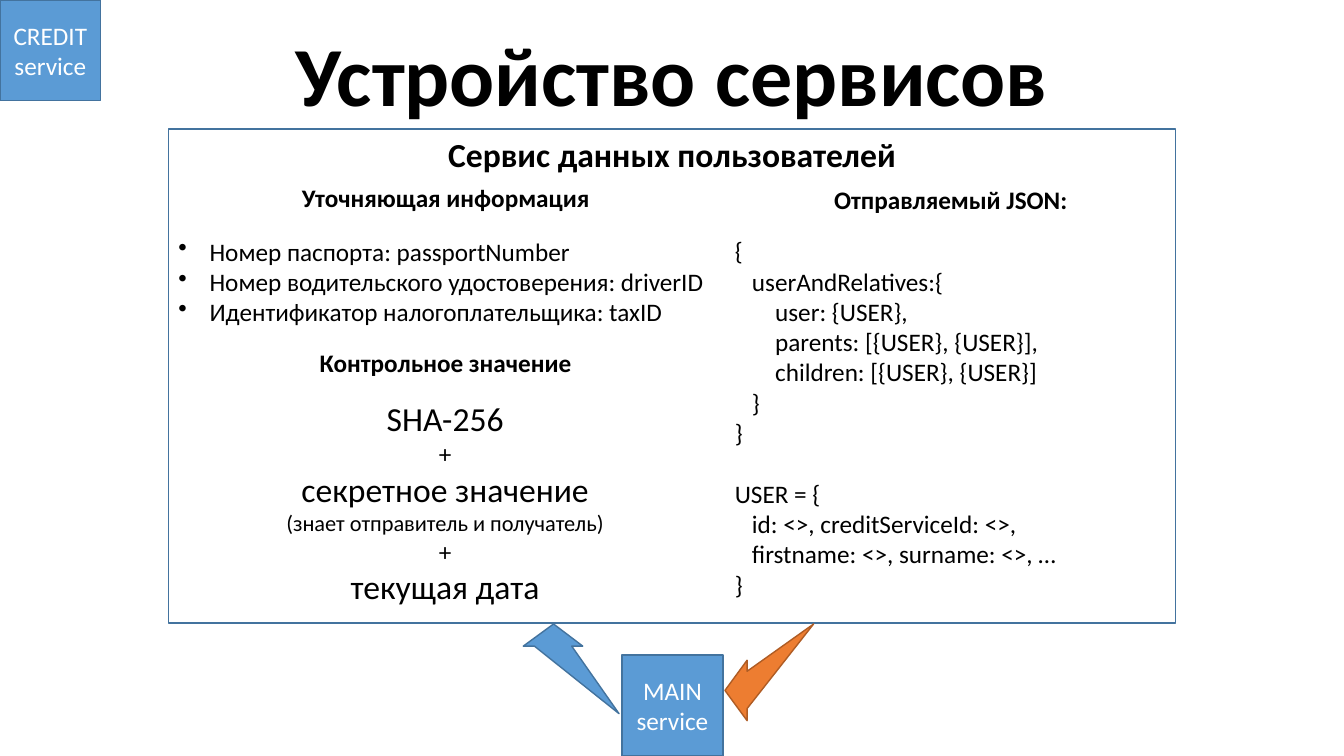
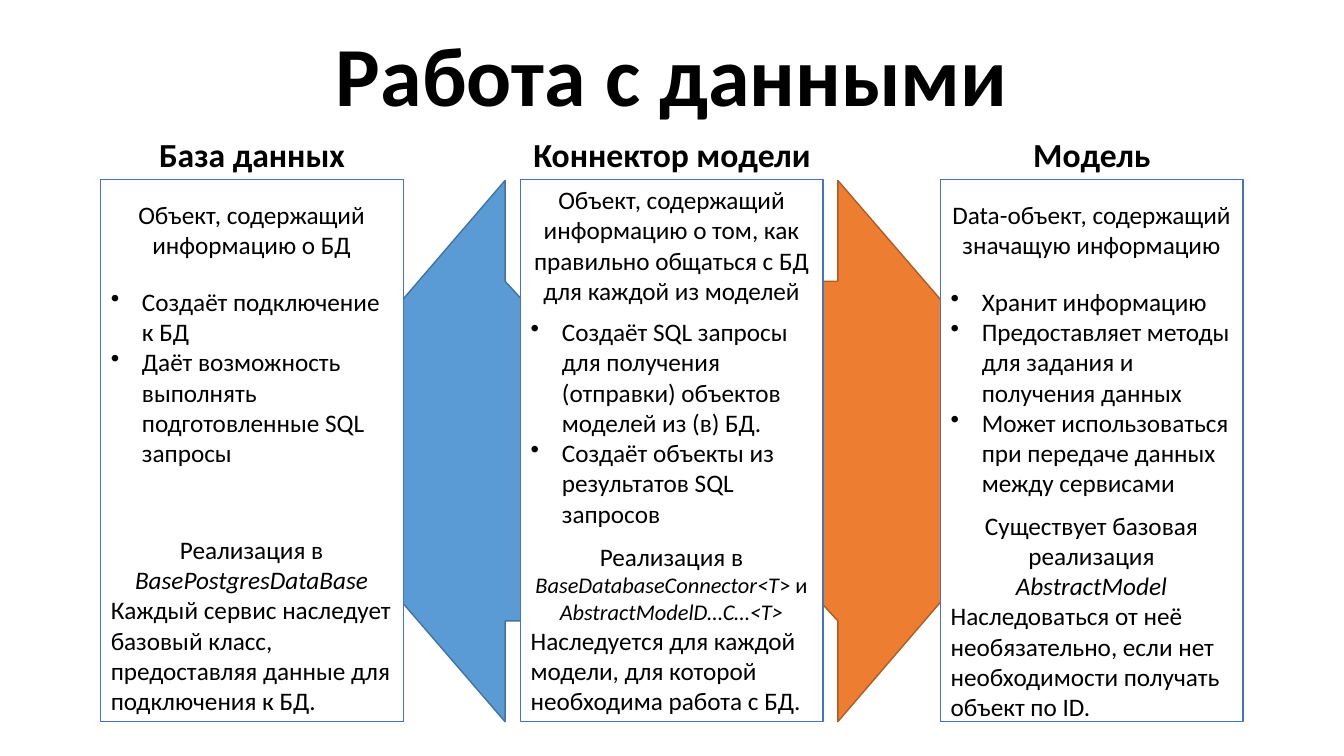
from dataclasses import dataclass

from lxml.etree import SubElement
from pptx import Presentation
from pptx.dml.color import RGBColor
from pptx.enum.shapes import MSO_SHAPE as Shape
from pptx.enum.text import MSO_ANCHOR as Anchor, PP_ALIGN as Align
from pptx.oxml.ns import qn
from pptx.util import Inches, Pt

BLACK, WHITE = "000000", "FFFFFF"
BLUE, BLUE_EDGE, FRAME_EDGE = "5B9BD5", "43739E", "4472C4"
ORANGE, ORANGE_EDGE = "ED7D31", "AF5C24"


def rgb(code):
    return RGBColor.from_string(code)


@dataclass
class Para:
    """One paragraph; content is a string or a list of (text, size, italic)."""
    content: object
    size: float = 18
    align: object = Align.LEFT
    bold: bool = False
    bullet: bool = False
    indent: float = 0
    before: float = 0


def centred(content, size=18, bold=False):
    return Para(content, size, Align.CENTER, bold)


def bullets(*items):
    return [Para(item, bullet=True) for item in items]


class Deck:
    font = "Calibri"

    def __init__(self):
        self.prs = Presentation()
        self.prs.slide_width, self.prs.slide_height = Inches(13.33), Inches(7.5)
        self.slide = None

    def new_slide(self):
        self.slide = self.prs.slides.add_slide(self.prs.slide_layouts[6])

    def title(self, text):
        self.text(1, 0.17, 11.33, 1.11, [centred(text, 60, True)], anchor=Anchor.MIDDLE)

    def heading(self, middle, top, width, text, size=18):
        height = 0.5 if size > 18 else 0.4
        self.text(middle - width / 2, top, width, height, [centred(text, size, True)], wrap=False)

    def text(self, left, top, width, height, paras, anchor=Anchor.TOP, wrap=True):
        box = self.slide.shapes.add_textbox(Inches(left), Inches(top), Inches(width), Inches(height))
        box.text_frame.word_wrap = wrap
        box.text_frame.vertical_anchor = anchor
        self.fill_frame(box.text_frame, paras, BLACK)

    def box(self, left, top, width, height, fill, edge, paras=()):
        shape = self.slide.shapes.add_shape(
            Shape.RECTANGLE, Inches(left), Inches(top), Inches(width), Inches(height))
        self.paint(shape, fill, edge)
        shape.text_frame.vertical_anchor = Anchor.MIDDLE
        self.fill_frame(shape.text_frame, paras, WHITE)

    def outline(self, points, fill, edge):
        start, *rest = [(Inches(x), Inches(y)) for x, y in points]
        builder = self.slide.shapes.build_freeform(*start, scale=1.0)
        builder.add_line_segments(rest, close=True)
        self.paint(builder.convert_to_shape(), fill, edge)

    def paint(self, shape, fill, edge):
        shape.shadow.inherit = False
        shape.fill.solid()
        shape.fill.fore_color.rgb = rgb(fill)
        shape.line.color.rgb = rgb(edge)
        shape.line.width = Pt(1)

    def fill_frame(self, frame, paras, color):
        for index, para in enumerate(paras):
            line = frame.add_paragraph() if index else frame.paragraphs[0]
            line.alignment = para.align
            line.font.name, line.font.size = self.font, Pt(para.size)
            line.font.bold = para.bold
            line.font.color.rgb = rgb(color)
            if para.before:
                line.space_before = Pt(para.before)
            self.indent(line, para)
            if isinstance(para.content, str):
                line.add_run().text = para.content
                continue
            for text, size, italic in para.content:
                run = line.add_run()
                run.text = text
                run.font.size, run.font.italic = Pt(size), italic

    def indent(self, line, para):
        props = line._p.get_or_add_pPr()
        if para.bullet:
            props.set("marL", str(Inches(0.31)))
            props.set("indent", str(Inches(-0.31)))
            mark = SubElement(props, qn("a:buChar"))
            mark.set("char", "•")
            props.insert(0, mark)  # bullets come before the default run style
        elif para.indent:
            props.set("marL", str(Inches(para.indent)))
            props.set("indent", "0")


deck = Deck()

# Slide 1: the user data service and its neighbours
deck.new_slide()
deck.box(1.67, 1.28, 9.99, 4.9, WHITE, BLUE_EDGE)
deck.title("Устройство сервисов")
deck.heading(6.665, 1.28, 4.69, "Сервис данных пользователей", 24)

# Arrows between the main service and the frame
deck.outline([(5.49, 6.19), (5.19, 6.41), (5.3, 6.41), (6.14, 7.08), (5.67, 6.41), (5.78, 6.41)],
             BLUE, BLUE_EDGE)
deck.outline([(7.19, 6.85), (7.41, 7.15), (7.41, 7.03), (8.07, 6.19), (7.41, 6.66), (7.41, 6.55)],
             ORANGE, ORANGE_EDGE)
for left, top, service in [(6.17, 6.5, "MAIN"), (0, 0, "CREDIT")]:
    deck.box(left, top, 1, 1, BLUE, BLUE_EDGE, [centred(service), centred("service")])

# Left half: identifying data and check value
deck.heading(4.42, 1.76, 3.09, "Уточняющая информация")
deck.text(1.67, 2.29, 5.49, 1.01, bullets(
    "Номер паспорта: passportNumber",
    "Номер водительского удостоверения: driverID",
    "Идентификатор налогоплательщика: taxID"))
deck.heading(4.42, 3.4, 2.72, "Контрольное значение")
check_value = [("SHA-256", 24), ("+", 18), ("секретное значение", 24),
               ("(знает отправитель и получатель)", 16), ("+", 18), ("текущая дата", 24)]
deck.text(1.67, 3.9, 5.49, 2.22, [centred(part, size) for part, size in check_value])

# Right half: the JSON, with nesting as indents
deck.heading(9.43, 1.78, 2.54, "Отправляемый JSON:")
NESTING = [0, 0.17, 0.4]
json_lines = [(0, "{"), (1, "userAndRelatives:{"), (2, "user: {USER},"),
              (2, "parents: [{USER}, {USER}],"), (2, "children: [{USER}, {USER}]"),
              (1, "}"), (0, "}"), (0, "USER = {"), (1, "id: <>, creditServiceId: <>,"),
              (1, "firstname: <>, surname: <>, …"), (0, "}")]
deck.text(7.19, 2.29, 4.47, 3.74, [
    Para(code, indent=NESTING[level], before=22 if code.startswith("USER") else 0)
    for level, code in json_lines])

# Slide 2: database, connector and model
deck.new_slide()
to_database = [(2.7, 4.48), (5.01, 1.79), (5.01, 2.79), (8.1, 6.16), (5.01, 6.16), (5.01, 7.16)]
to_model = [(13.32 - x, 8.95 - y) for x, y in to_database]  # half a turn
deck.outline(to_database, BLUE, BLUE_EDGE)
deck.outline(to_model, ORANGE, ORANGE_EDGE)
deck.title("Работа с данными")

# Per column: heading and its width, then (top, height, paragraphs) of each text
columns = [
    ("База данных", 2.07, [
        (1.93, 0.71, [centred("Объект, содержащий информацию о БД")]),
        (2.79, 1.92, bullets("Создаёт подключение к БД",
                             "Даёт возможность выполнять подготовленные SQL запросы")),
        (5.25, 1.92, [
            centred([("Реализация в ", 18, False), ("BasePostgresDataBase", 18, True)]),
            Para("Каждый сервис наследует базовый класс, предоставляя данные для "
                 "подключения к БД.")])]),
    ("Коннектор модели", 2.97, [
        (1.78, 1.31, [centred("Объект, содержащий информацию о том, как правильно "
                              "общаться с БД для каждой из моделей")]),
        (3.09, 2.22, bullets("Создаёт SQL запросы для получения (отправки) объектов "
                             "моделей из (в) БД.",
                             "Создаёт объекты из результатов SQL запросов")),
        (5.32, 1.85, [
            centred([("Реализация в ", 18, False), ("BaseDatabaseConnector<T", 16, True),
                     ("> и ", 16, False), ("AbstractModelD…C…<T>", 16, True)]),
            Para("Наследуется для каждой модели, для которой необходима работа с БД.")])]),
    ("Модель", 1.37, [
        (1.93, 0.71, [centred("Data-объект, содержащий значащую информацию")]),
        (2.79, 2.22, bullets("Хранит информацию",
                             "Предоставляет методы для задания и получения данных",
                             "Может использоваться при передаче данных между сервисами")),
        (5.01, 2.22, [
            centred([("Существует базовая реализация ", 18, False),
                     ("AbstractModel", 18, True)]),
            Para("Наследоваться от неё необязательно, если нет необходимости получать "
                 "объект по ID.")])]),
]
for index, (name, name_width, texts) in enumerate(columns):
    left = 1 + index * (11.33 - 3) / 2
    deck.box(left, 1.78, 3, 5.38, WHITE, FRAME_EDGE)
    deck.heading(left + 1.5, 1.28, name_width, name, 24)
    for top, height, paras in texts:
        deck.text(left, top, 2.99, height, paras)

deck.prs.save("out.pptx")
